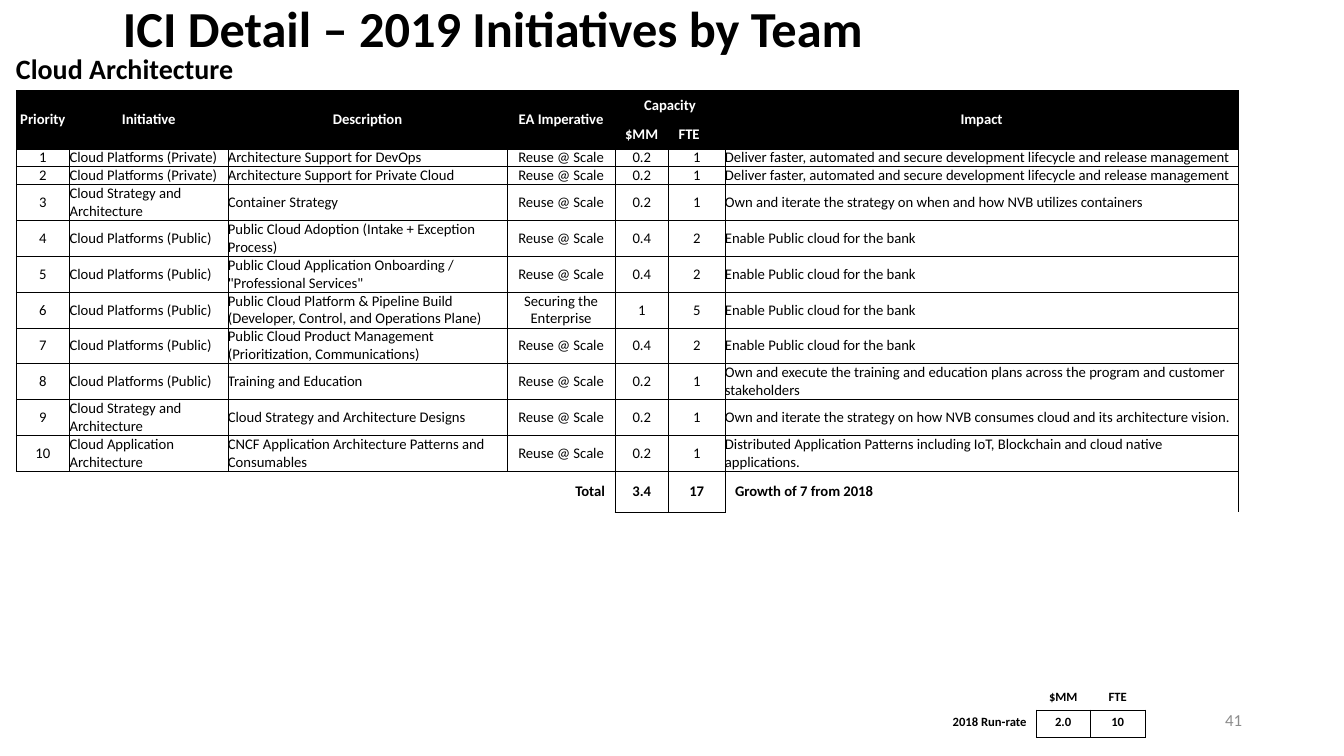
"""Build the slide that lists the 2019 initiatives of the cloud architecture team."""
from dataclasses import dataclass

from lxml import etree
from pptx import Presentation, util as u
from pptx.dml.color import RGBColor
from pptx.enum import text as t
from pptx.oxml import ns

BLACK = RGBColor(0, 0, 0)
WHITE = RGBColor(255, 255, 255)
GREY = RGBColor(0x8C, 0x8C, 0x8C)
LEFT, MID, RIGHT = t.PP_ALIGN.LEFT, t.PP_ALIGN.CENTER, t.PP_ALIGN.RIGHT
WIDTH, HEIGHT = u.Inches(13.33), u.Inches(7.5)
COL, ROW = WIDTH / 100, HEIGHT / 100
PLAIN = "{2D5ABB26-0587-4C30-8999-92F81FD0307C}"
PAD, NONE, SLIM = (0.1, 0.05), (0, 0), (0, 0.05)


@dataclass(frozen=True)
class Box:
    """Place of a text on the grid of 100 columns and 100 rows."""
    left: float
    top: float
    wide: float
    high: float


@dataclass(frozen=True)
class Cell:
    """Text and look of one table cell."""
    text: str = ""
    align: t.PP_ALIGN = MID
    bold: bool = True
    inset: tuple[float, float] = PAD
    sides: str = "LRTB"
    ink: RGBColor = BLACK
    fill: RGBColor | None = None
    anchor: t.MSO_ANCHOR = t.MSO_ANCHOR.MIDDLE


@dataclass(frozen=True)
class Job:
    """One initiative of the team."""
    name: str
    about: str
    goal: str
    staff: int = 1
    aim: str = "Reuse @ Scale"


@dataclass(frozen=True)
class Grid:
    """Place, column widths and row heights of a table."""
    left: float
    top: float
    cols: list[float]
    rows: list[float]
    size: float


PRIVATE, PUBLIC = "Cloud Platforms (Private)", "Cloud Platforms (Public)"
PLAN = "Cloud Strategy and Architecture"
FASTER = "Deliver faster, automated and secure development lifecycle and release management"
ENABLE = "Enable Public cloud for the bank"
JOBS = [
    Job(PRIVATE, "Architecture Support for DevOps", FASTER),
    Job(PRIVATE, "Architecture Support for Private Cloud", FASTER),
    Job(PLAN, "Container Strategy",
        "Own and iterate the strategy on when and how NVB utilizes containers"),
    Job(PUBLIC, "Public Cloud Adoption (Intake + Exception Process)", ENABLE, 2),
    Job(PUBLIC, 'Public Cloud Application Onboarding / "Professional Services"', ENABLE, 2),
    Job(PUBLIC, "Public Cloud Platform & Pipeline Build (Developer, Control, and Operations Plane)",
        ENABLE, 5, "Securing the Enterprise"),
    Job(PUBLIC, "Public Cloud Product Management (Prioritization, Communications)", ENABLE, 2),
    Job(PUBLIC, "Training and Education",
        "Own and execute the training and education plans across the program and customer stakeholders"),
    Job(PLAN, "Cloud Strategy and Architecture Designs",
        "Own and iterate the strategy on how NVB consumes cloud and its architecture vision."),
    Job("Cloud Application Architecture", "CNCF Application Architecture Patterns and Consumables",
        "Distributed Application Patterns including IoT, Blockchain and cloud native applications."),
]
MAIN = Grid(1.2, 12, [3.98, 11.78, 20.78, 8.03, 3.98, 4.2, 38.18],
            [4, 3.7] + [2.37] * 2 + [4.74] * 8 + [5.47], 10.5)
RATE = Grid(66.84, 90.27, [10.28, 3.98, 4.13], [3.65] * 2, 9)


def head(label: str, align: t.PP_ALIGN = MID, inset: tuple[float, float] = PAD) -> Cell:
    """Return a white on black heading cell."""
    return Cell(label, align, inset=inset, ink=WHITE, fill=BLACK)


def line(rank: int, job: Job) -> list[Cell]:
    """Return the cells of one initiative."""
    pairs = [(str(rank), MID), (job.name, LEFT), (job.about, LEFT), (job.aim, MID),
             (f"{job.staff * 0.2:g}", MID), (str(job.staff), MID), (job.goal, LEFT)]
    return [Cell(label, align, False, NONE) for label, align in pairs]


def write(frame, label: str, size: float, ink: RGBColor, bold: bool, align: t.PP_ALIGN):
    """Put one formatted paragraph in a text frame and return it."""
    frame.text = label
    para = frame.paragraphs[0]
    para.alignment = align
    font = para.font
    font.name, font.size, font.bold = "Calibri", u.Pt(size), bold
    font.color.rgb = ink
    return para


def edge(cell, side: str) -> None:
    """Draw a thin black border on one side of a cell."""
    rule = etree.SubElement(cell._tc.get_or_add_tcPr(), ns.qn(f"a:ln{side}"), w=str(u.Pt(0.5)))
    fill = etree.SubElement(rule, ns.qn("a:solidFill"))
    etree.SubElement(fill, ns.qn("a:srgbClr"), val=str(BLACK))


def dress(cell, look: Cell, size: float) -> None:
    """Give a table cell its text, borders and fill."""
    write(cell.text_frame, look.text, size, look.ink, look.bold, look.align)
    cell.vertical_anchor = look.anchor
    cell.margin_left = cell.margin_right = u.Inches(look.inset[0])
    cell.margin_top = cell.margin_bottom = u.Inches(look.inset[1])
    for side in look.sides:
        edge(cell, side)
    if look.fill is None:
        cell.fill.background()
    else:
        cell.fill.solid()
        cell.fill.fore_color.rgb = look.fill


def draw(slide, grid: Grid, looks: list[list[Cell]]):
    """Add a plain table and return it."""
    frame = slide.shapes.add_table(
        len(grid.rows), len(grid.cols), int(grid.left * COL), int(grid.top * ROW),
        int(sum(grid.cols) * COL), int(sum(grid.rows) * ROW))
    table = frame.table
    table.first_row = table.horz_banding = False
    table._tbl.tblPr.find(ns.qn("a:tableStyleId")).text = PLAIN
    for col, wide in zip(table.columns, grid.cols):
        col.width = int(wide * COL)
    for row, high, line_looks in zip(table.rows, grid.rows, looks):
        row.height = int(high * ROW)
        for cell, look in zip(row.cells, line_looks):
            dress(cell, look, grid.size)
    return table


def place(shape, box: Box, label: str, size: float, ink: RGBColor = BLACK,
          bold: bool = True, align: t.PP_ALIGN = LEFT) -> None:
    """Move a text shape to its box and fill it."""
    shape.left, shape.top = int(box.left * COL), int(box.top * ROW)
    shape.width, shape.height = int(box.wide * COL), int(box.high * ROW)
    frame = shape.text_frame
    frame.word_wrap, frame.auto_size = True, t.MSO_AUTO_SIZE.NONE
    frame.vertical_anchor = t.MSO_ANCHOR.MIDDLE
    write(frame, label, size, ink, bold, align).line_spacing = 0.9


def main() -> None:
    """Build and save the slide."""
    deck = Presentation()
    deck.slide_width, deck.slide_height = WIDTH, HEIGHT
    slide = deck.slides.add_slide(deck.slide_layouts[5])
    place(slide.shapes.title, Box(8.4, 0.27, 91.6, 7.6),
          "ICI Detail – 2019 Initiatives by Team", 36)

    top = [head("Priority", inset=SLIM)] + [
        head(label) for label in ("Initiative", "Description", "EA Imperative", "Capacity", "", "Impact")]
    low = [head("")] * 4 + [head("$MM", LEFT), head("FTE", LEFT), head("")]
    total = [Cell("Total", RIGHT, sides="RT")] + [Cell(sides="T")] * 3 + [
        Cell("3.4", inset=NONE), Cell("17"), Cell("Growth of 7 from 2018", LEFT, sides="LT")]
    body = [line(rank, job) for rank, job in enumerate(JOBS, 1)]
    table = draw(slide, MAIN, [top, low, *body, total])
    for col in (0, 1, 2, 3, 6):
        table.cell(0, col).merge(table.cell(1, col))
    table.cell(0, 4).merge(table.cell(0, 5))
    last = len(MAIN.rows) - 1
    table.cell(last, 0).merge(table.cell(last, 3))

    place(slide.shapes.add_textbox(0, 0, 0, 0), Box(0.45, 7.73, 97.67, 3.07),
          "Cloud Architecture", 20)
    names = [Cell(label, sides=sides, anchor=t.MSO_ANCHOR.BOTTOM)
             for label, sides in (("", ""), ("$MM", "B"), ("FTE", "B"))]
    rates = [Cell(label, align, sides=sides, anchor=t.MSO_ANCHOR.TOP) for label, align, sides in
             (("2018 Run-rate", RIGHT, "R"), ("2.0", MID, "LRTB"), ("10", MID, "LRTB"))]
    draw(slide, RATE, [names, rates])
    place(slide.shapes.add_textbox(0, 0, 0, 0), Box(70.67, 92.67, 22.5, 5.33),
          "41", 12, GREY, False, RIGHT)
    deck.save("out.pptx")


if __name__ == "__main__":
    main()
